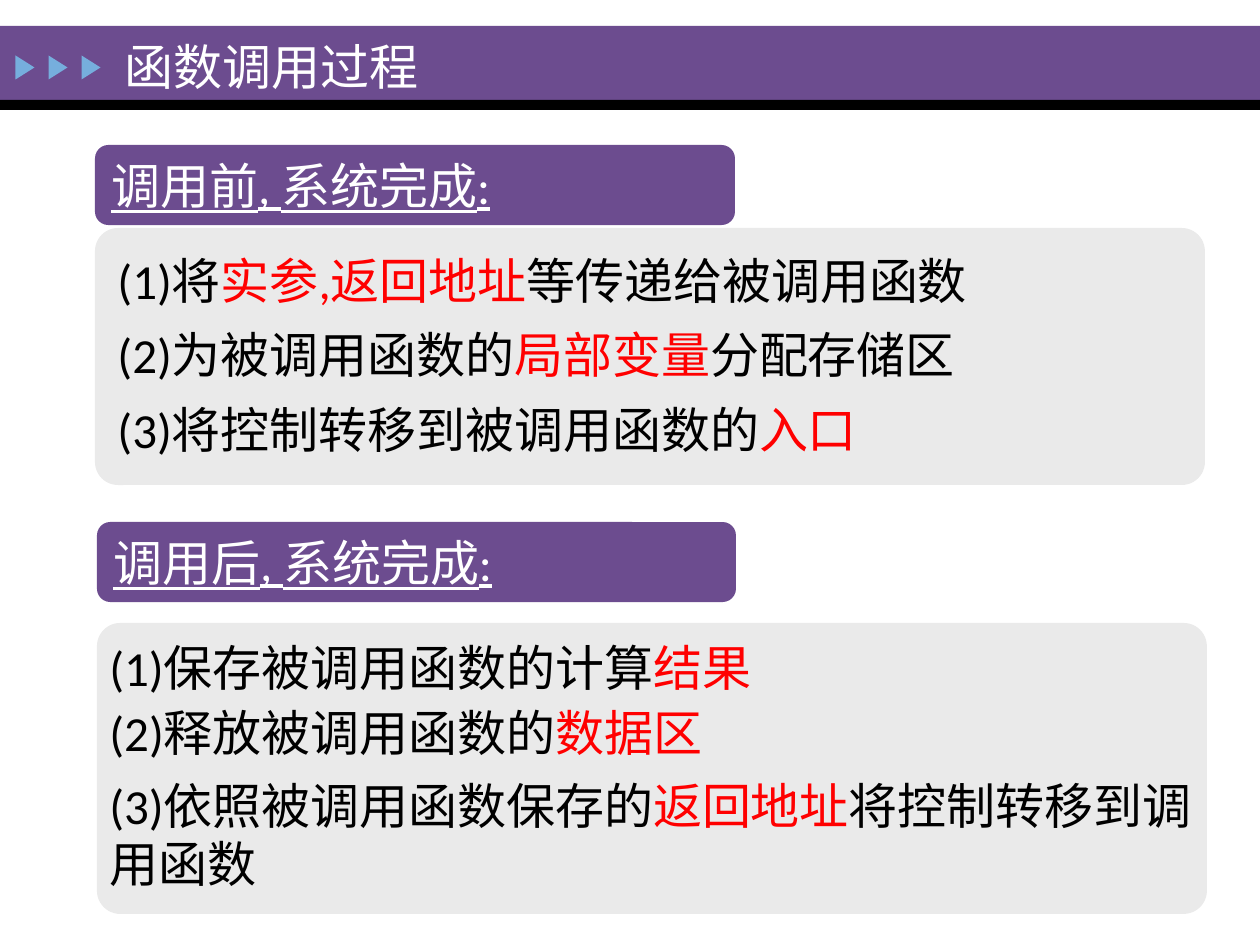
import pptx
import pptx.dml.color
import pptx.enum.shapes
import pptx.enum.text
import pptx.util

SCALE = 914400 // 126
PURPLE, BLACK, SKY, GRAY, WHITE, RED = "6C4C8F", "000000", "76AEDD", "EAEAEA", "FFFFFF", "FF0000"
KIND = pptx.enum.shapes.MSO_SHAPE
ANCHOR = pptx.enum.text.MSO_ANCHOR
AUTO = pptx.enum.text.MSO_AUTO_SIZE
color = pptx.dml.color.RGBColor.from_string

deck = pptx.Presentation()
deck.slide_width, deck.slide_height = 1260 * SCALE, 945 * SCALE
slide = deck.slides.add_slide(deck.slide_layouts[5])


def add_block(kind, box, fill):
    block = slide.shapes.add_shape(kind, *[length * SCALE for length in box])
    block.shadow.inherit = False
    block.fill.solid()
    block.fill.fore_color.rgb = color(fill)
    block.line.fill.background()
    return block


def write(holder, pieces, anchor, fit, underline=None):
    frame = holder.text_frame
    frame.word_wrap = True
    frame.auto_size = fit
    frame.vertical_anchor = anchor
    paragraph = frame.paragraphs[0]
    paragraph.alignment = pptx.enum.text.PP_ALIGN.LEFT
    for words, ink in pieces:
        run = paragraph.add_run()
        run.text = words
        run.font.name = "Calibri"
        run.font.size = pptx.util.Pt(28)
        run.font.color.rgb = color(ink)
        run.font.underline = underline


add_block(KIND.RECTANGLE, (0, 26, 1260, 74), PURPLE)
add_block(KIND.RECTANGLE, (0, 100, 1260, 10), BLACK)
for index in range(3):
    marker = add_block(KIND.ISOSCELES_TRIANGLE, (13 + 33 * index, 58, 24, 19), SKY)
    marker.rotation = 90

stages = [
    ("调用前, 系统完成:", (95, 145, 640, 80), (95, 228, 1110, 257), [
        ((105, 244, 1042, 72), ["(1)将", "实参,返回地址", "等传递给被调用函数"]),
        ((105, 318, 1042, 72), ["(2)为被调用函数的", "局部变量", "分配存储区"]),
        ((105, 393, 840, 72), ["(3)将控制转移到被调用函数的", "入口"]),
    ]),
    ("调用后, 系统完成:", (97, 522, 639, 80), (97, 623, 1110, 291), [
        ((97, 631, 1110, 72), ["(1)保存被调用函数的计算", "结果"]),
        ((97, 696, 840, 72), ["(2)释放被调用函数的", "数据区"]),
        ((97, 769, 1110, 130), ["(3)依照被调用函数保存的", "返回地址", "将控制转移到调用函数"]),
    ]),
]
for stage, heading_box, panel_box, steps in stages:
    panel = add_block(KIND.ROUNDED_RECTANGLE, panel_box, GRAY)
    panel.adjustments[0] = round(22 / panel_box[3], 2)
    heading = add_block(KIND.ROUNDED_RECTANGLE, heading_box, PURPLE)
    write(heading, [(stage, WHITE)], ANCHOR.TOP, AUTO.SHAPE_TO_FIT_TEXT, True)
    for step_box, parts in steps:
        step = slide.shapes.add_textbox(*[length * SCALE for length in step_box])
        write(step, zip(parts, (BLACK, RED, BLACK)), ANCHOR.TOP, AUTO.SHAPE_TO_FIT_TEXT)

title = slide.shapes.title
title.left, title.top, title.width, title.height = [length * SCALE for length in (112, 30, 522, 72)]
write(title, [("函数调用过程", WHITE)], ANCHOR.MIDDLE, AUTO.NONE)
title.element.getparent().append(title.element)

deck.save("out.pptx")
